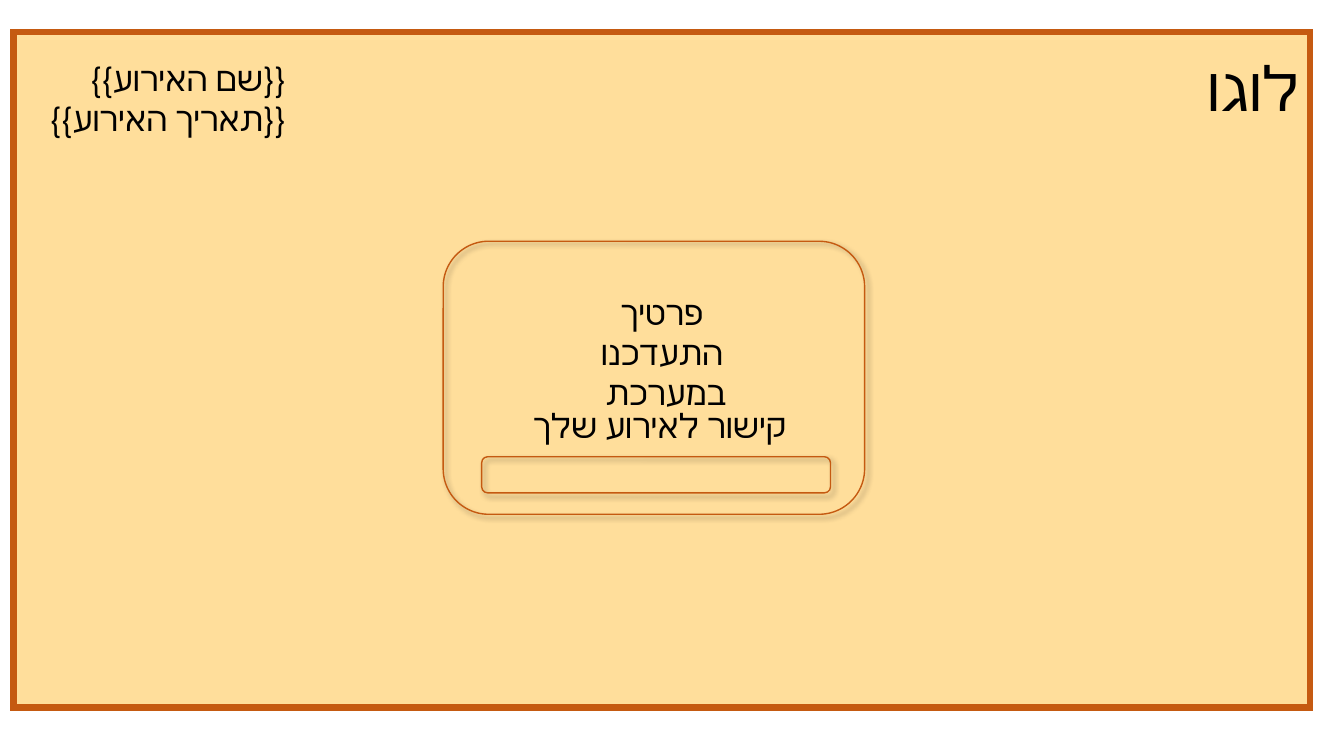
from lxml import etree
from pptx import Presentation
from pptx.dml.color import RGBColor
from pptx.enum.shapes import MSO_SHAPE
from pptx.enum.text import MSO_ANCHOR, MSO_AUTO_SIZE, PP_ALIGN
from pptx.oxml import parse_xml
from pptx.oxml.ns import nsdecls, qn
from pptx.util import Cm, Pt

RECTANGLE, ROUNDED = MSO_SHAPE.RECTANGLE, MSO_SHAPE.ROUNDED_RECTANGLE
RIGHT, CENTER = PP_ALIGN.RIGHT, PP_ALIGN.CENTER
TITLE_ONLY = 5

THEME = {
    "font": "Calibri",
    "text": RGBColor(0x00, 0x00, 0x00),
    "panel": RGBColor(0xFF, 0xDE, 0x9B),
    "border": RGBColor(0xC5, 0x5A, 0x11),
    "title_size": Pt(44),
    "body_size": Pt(24),
    "panel_line": Pt(4.5),
    "frame_line": Pt(1),
}
SHADOW = (
    f'<a:effectLst {nsdecls("a")}>'
    '<a:outerShdw blurRad="50800" dist="38100" dir="2700000" algn="tl" rotWithShape="0">'
    '<a:srgbClr val="000000"><a:alpha val="40000"/></a:srgbClr>'
    '</a:outerShdw></a:effectLst>'
)


def add_outline(slide, kind, box, line_width):
    """Add an unfilled, unshadowed shape with the border colour."""
    shape = slide.shapes.add_shape(kind, *map(Cm, box))
    shape.shadow.inherit = False
    shape.fill.background()
    shape.line.color.rgb = THEME["border"]
    shape.line.width = line_width
    miter = etree.SubElement(shape.line._get_or_add_ln(), qn("a:miter"))
    miter.set("lim", "800000")
    return shape


def write_hebrew(shape, lines, size, alignment):
    """Write one right-to-left paragraph, with a line break between lines."""
    frame = shape.text_frame
    frame.word_wrap = True
    frame.auto_size = MSO_AUTO_SIZE.SHAPE_TO_FIT_TEXT
    frame.vertical_anchor = MSO_ANCHOR.TOP
    paragraph = frame.paragraphs[0]
    paragraph.alignment = alignment
    paragraph._p.get_or_add_pPr().set("rtl", "1")
    for index, line in enumerate(lines):
        if index:
            paragraph.add_line_break()
        run = paragraph.add_run()
        run.text = line
        run.font.size = size
        run.font.name = THEME["font"]
        run.font.color.rgb = THEME["text"]


presentation = Presentation()
presentation.slide_width = Cm(33.87)
presentation.slide_height = Cm(19.05)
slide = presentation.slides.add_slide(presentation.slide_layouts[TITLE_ONLY])

# Background panel, placed behind the title
panel = add_outline(slide, RECTANGLE, (0.34, 0.81, 32.68, 17.02), THEME["panel_line"])
panel.fill.solid()
panel.fill.fore_color.rgb = THEME["panel"]
title = slide.shapes.title
title._element.addprevious(panel._element)

title.left, title.top, title.width, title.height = map(Cm, (25.09, 1.14, 7.92, 2.13))
write_hebrew(title, ["לוגו"], THEME["title_size"], RIGHT)

# Central card and its link field
for box in [(11.17, 6.08, 10.62, 6.88), (12.14, 11.51, 8.79, 0.91)]:
    frame = add_outline(slide, ROUNDED, box, THEME["frame_line"])
    properties = frame._element.spPr
    properties.replace(properties.find(qn("a:effectLst")), parse_xml(SHADOW))

# Event details and card texts
texts = [
    ((0, 1.33, 7.44, 3.33), ["{{שם האירוע}}", "{{תאריך האירוע}}"], RIGHT),
    ((13.95, 7.22, 5.46, 2.31), ["פרטיך התעדכנו במערכת "], CENTER),
    ((12.14, 10.09, 8.97, 1.27), ["קישור לאירוע שלך"], CENTER),
]
for box, lines, alignment in texts:
    text_box = slide.shapes.add_textbox(*map(Cm, box))
    write_hebrew(text_box, lines, THEME["body_size"], alignment)

presentation.save("out.pptx")
